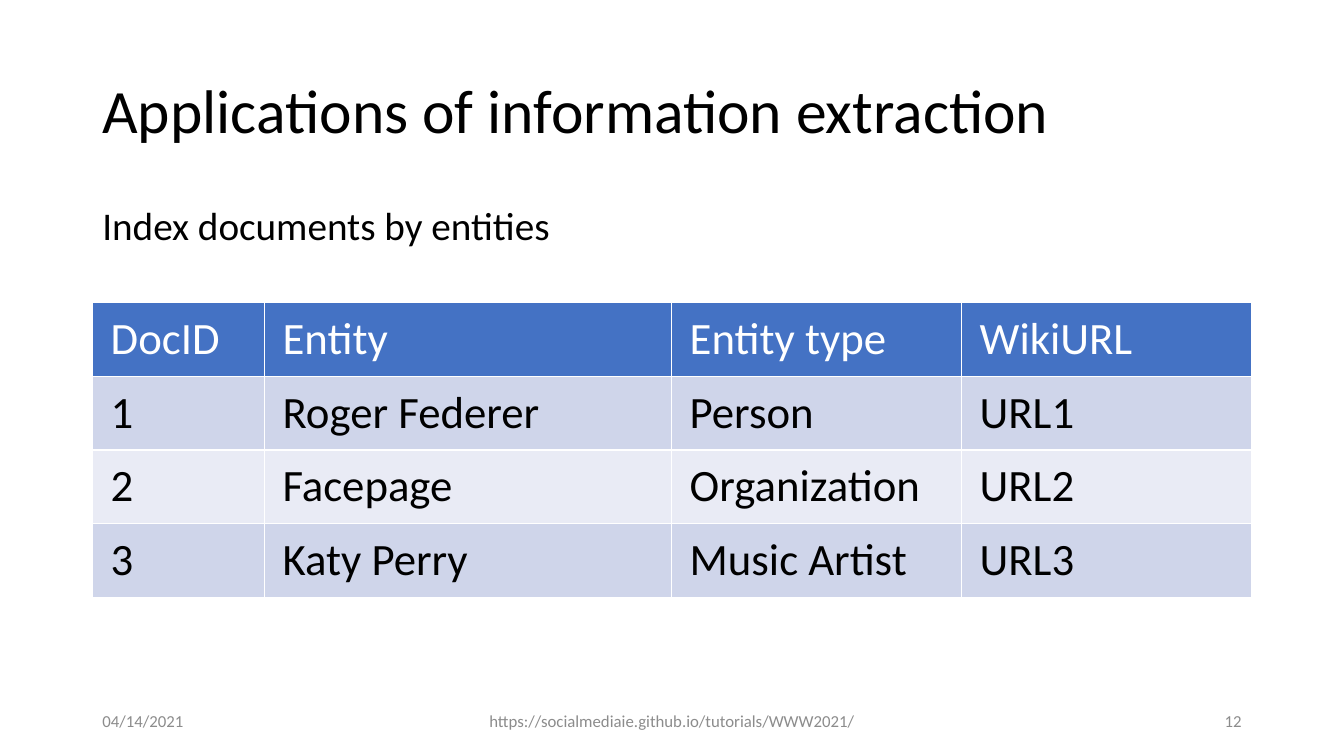
import dataclasses

import pptx
import pptx.dml.color
import pptx.enum.text
import pptx.oxml
import pptx.oxml.ns
import pptx.util

Cm = pptx.util.Cm
Pt = pptx.util.Pt
Align = pptx.enum.text.PP_ALIGN
Anchor = pptx.enum.text.MSO_ANCHOR


@dataclasses.dataclass(frozen=True)
class Theme:
    """Colours and type sizes of the slide."""
    font: str = "Calibri"
    ink: str = "000000"
    pale: str = "FFFFFF"
    grey: str = "8C8C8C"
    head: str = "4472C4"
    bands: tuple = ("CFD5EA", "E9EBF5")
    title: int = 44
    body: int = 28
    cell: int = 32
    foot: int = 12
    rule: int = 1


THEME = Theme()
ROWS = [
    ("DocID", "Entity", "Entity type", "WikiURL"),
    ("1", "Roger Federer", "Person", "URL1"),
    ("2", "Facepage", "Organization", "URL2"),
    ("3", "Katy Perry", "Music Artist", "URL3"),
]
WIDTHS = (4.33, 10.26, 7.31, 7.31)


def rgb(code):
    """Turn a hex code into a colour."""
    return pptx.dml.color.RGBColor.from_string(code)


def add_run(para, text, size, color):
    """Add one styled run to a paragraph."""
    run = para.add_run()
    run.text = text
    run.font.name = THEME.font
    run.font.size = Pt(size)
    run.font.color.rgb = rgb(color)


def add_text(slide, box, text, size, color=THEME.ink, anchor=Anchor.MIDDLE,
             align=Align.LEFT, space=1.0):
    """Place a wrapped line of text in a box given in centimetres."""
    frame = slide.shapes.add_textbox(*map(Cm, box)).text_frame
    frame.word_wrap = True
    frame.vertical_anchor = anchor
    para = frame.paragraphs[0]
    para.alignment = align
    para.line_spacing = space
    add_run(para, text, size, color)


def add_rules(cell):
    """Draw the four borders of a cell."""
    props = cell._tc.get_or_add_tcPr()
    for side in "LRTB":
        props.append(pptx.oxml.parse_xml(
            f'<a:ln{side} {pptx.oxml.ns.nsdecls("a")} w="{Pt(THEME.rule)}">'
            f'<a:solidFill><a:srgbClr val="{THEME.pale}"/></a:solidFill>'
            f'</a:ln{side}>'))


def fill_cell(cell, text, fill, color):
    """Style a table cell and write its text."""
    add_rules(cell)
    cell.fill.solid()
    cell.fill.fore_color.rgb = rgb(fill)
    cell.margin_left = cell.margin_right = Cm(0.46)
    cell.margin_top = cell.margin_bottom = Cm(0.23)
    add_run(cell.text_frame.paragraphs[0], text, THEME.cell, color)


def add_grid(slide, box):
    """Place the entity table in its box."""
    table = slide.shapes.add_table(
        len(ROWS), len(WIDTHS), *map(Cm, box)).table
    for col, width in zip(table.columns, WIDTHS):
        col.width = Cm(width)
    for i, row in enumerate(ROWS):
        table.rows[i].height = Cm(box[3] / len(ROWS))
        fill = THEME.bands[(i - 1) % 2] if i else THEME.head
        color = THEME.ink if i else THEME.pale
        for j, text in enumerate(row):
            fill_cell(table.cell(i, j), text, fill, color)


def add_foot(slide, box):
    """Place date, link and page number along the foot."""
    left, top, width, height = box
    side, mid = 7.62, 11.43
    parts = [
        (left, side, "04/14/2021", Align.LEFT),
        (left + (width - mid) / 2, mid,
         "https://socialmediaie.github.io/tutorials/WWW2021/", Align.CENTER),
        (left + width - side, side, "12", Align.RIGHT),
    ]
    for x, wide, text, align in parts:
        add_text(slide, (x, top, wide, height), text, THEME.foot,
                 THEME.grey, align=align)


def main():
    """Build the slide and save it."""
    deck = pptx.Presentation()
    deck.slide_width, deck.slide_height = Cm(33.87), Cm(19.05)
    slide = deck.slides.add_slide(deck.slide_layouts[6])
    left, width = 2.33, 29.21
    add_text(slide, (left, 1.01, width, 3.68),
             "Applications of information extraction", THEME.title, space=0.9)
    add_text(slide, (left, 5.07, 12.6, 12.09), "Index documents by entities",
             THEME.body, anchor=Anchor.TOP, space=0.9)
    add_grid(slide, (left, 7.62, width, 7.44))
    add_foot(slide, (left, 17.66, width, 1.01))
    deck.save("out.pptx")


if __name__ == "__main__":
    main()
